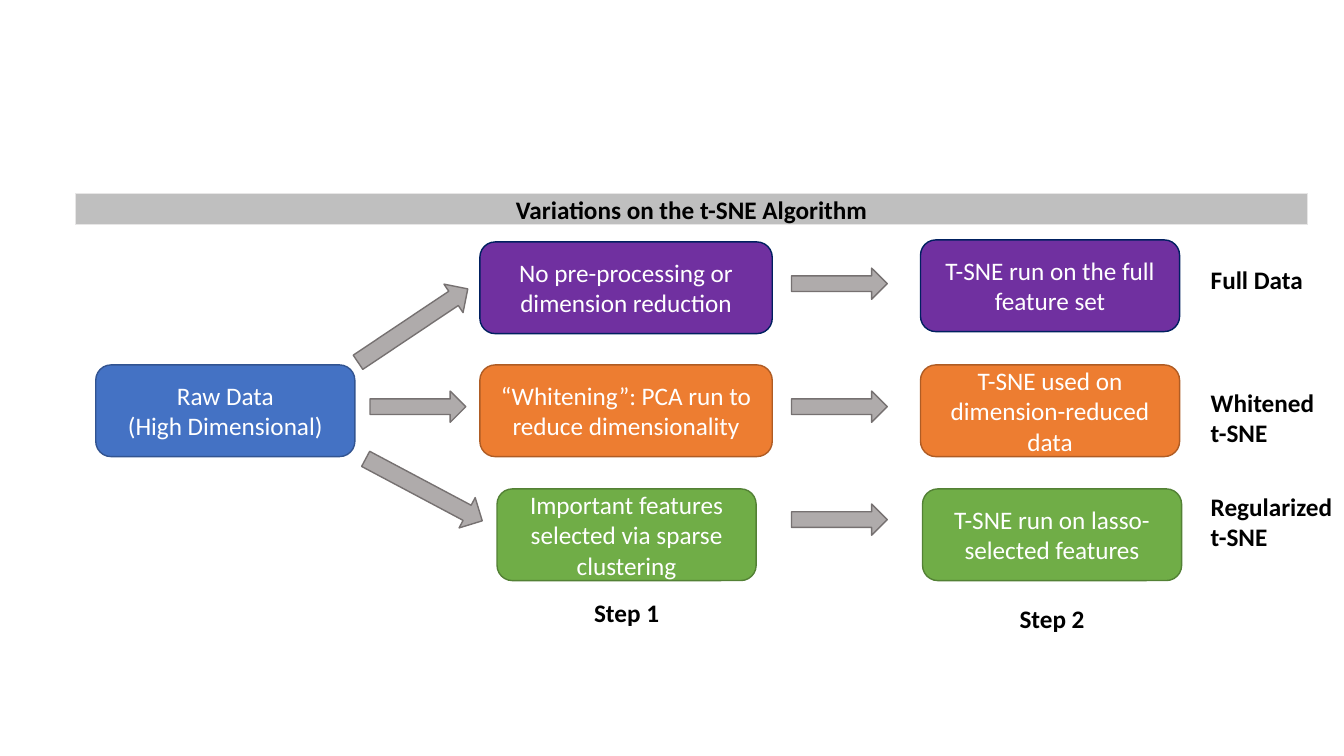
from pptx import Presentation
from pptx import util as u
from pptx.dml.color import RGBColor
from pptx.enum import shapes, text

PX = u.Inches(1) // 100  # one px is a hundredth of an inch

WHITE = RGBColor(0xFF, 0xFF, 0xFF)
BLACK = RGBColor(0x00, 0x00, 0x00)
BLUE, BLUE_EDGE = RGBColor(0x44, 0x72, 0xC4), RGBColor(0x32, 0x54, 0x91)
PURPLE, NAVY_EDGE = RGBColor(0x70, 0x30, 0xA0), RGBColor(0x00, 0x20, 0x60)
ORANGE, ORANGE_EDGE = RGBColor(0xED, 0x7D, 0x31), RGBColor(0xAF, 0x5C, 0x24)
GREEN, GREEN_EDGE = RGBColor(0x70, 0xAD, 0x47), RGBColor(0x53, 0x81, 0x35)
ARROW, ARROW_EDGE = RGBColor(0xAF, 0xAB, 0xAB), RGBColor(0x76, 0x71, 0x71)
BANNER, BANNER_EDGE = RGBColor(0xBF, 0xBF, 0xBF), RGBColor(0xE7, 0xE6, 0xE6)

FONT, SIZE = "Calibri", u.Pt(18)
BOX_HEIGHT, NARROW, WIDE = 91, 257, 290

TITLE = ("Variations on the t-SNE Algorithm", (75, 192, 1222, 31))

# text, (left, top, width), fill, edge
STAGES = [
    (["Raw Data", "(High Dimensional)"], (95, 362, NARROW), BLUE, BLUE_EDGE),
    (["No pre-processing or dimension reduction"], (476, 240, WIDE), PURPLE, NAVY_EDGE),
    (["T-SNE run on the full feature set"], (913, 238, NARROW), PURPLE, NAVY_EDGE),
    (["“Whitening”: PCA run to reduce dimensionality"], (476, 362, WIDE), ORANGE, ORANGE_EDGE),
    (["T-SNE used on dimension-reduced data"], (913, 362, NARROW), ORANGE, ORANGE_EDGE),
    (["Important features selected via sparse clustering"], (493, 485, NARROW), GREEN, GREEN_EDGE),
    (["T-SNE run on lasso-selected features"], (915, 485, NARROW), GREEN, GREEN_EDGE),
]

# (left, top), rotation in degrees
STRAIGHT_SIZE, SLANTED_SIZE = (95, 31), (131, 34)
ARROWS = [
    ((367, 388), 0),
    ((785, 266), 0),
    ((785, 388), 0),
    ((785, 500), 0),
    ((344, 306), 326.2),
    ((355, 469), 28),
]

LEFT, CENTER = text.PP_ALIGN.LEFT, text.PP_ALIGN.CENTER
LABELS = [
    ("Full Data", (1191, 257, 125, 40), LEFT),
    ("Whitened t-SNE", (1191, 379, 142, 71), LEFT),
    ("Regularized t-SNE", (1191, 482, 145, 71), LEFT),
    ("Step 1", (493, 588, NARROW, 40), CENTER),
    ("Step 2", (915, 594, NARROW, 40), CENTER),
]


def scaled(frame):
    return [length * PX for length in frame]


def write(box, lines, color, align, bold=False):
    box.text_frame.word_wrap = True
    for index, line in enumerate(lines):
        para = box.text_frame.add_paragraph() if index else box.text_frame.paragraphs[0]
        para.alignment = align
        span = para.add_run()
        span.text = line
        span.font.name, span.font.size = FONT, SIZE
        span.font.bold = bold
        span.font.color.rgb = color


def add_box(page, kind, frame, fill, edge):
    box = page.shapes.add_shape(kind, *scaled(frame))
    box.shadow.inherit = False
    box.fill.solid()
    box.fill.fore_color.rgb = fill
    box.line.color.rgb = edge
    box.line.width = u.Pt(1)
    box.text_frame.vertical_anchor = text.MSO_ANCHOR.MIDDLE
    return box


def main():
    deck = Presentation()
    deck.slide_width, deck.slide_height = scaled((1333, 750))
    page = deck.slides.add_slide(deck.slide_layouts[6])
    kinds = shapes.MSO_SHAPE

    for lines, (left, top, width), fill, edge in STAGES:
        frame = (left, top, width, BOX_HEIGHT)
        box = add_box(page, kinds.ROUNDED_RECTANGLE, frame, fill, edge)
        write(box, lines, WHITE, CENTER)

    for corner, angle in ARROWS:
        frame = corner + (SLANTED_SIZE if angle else STRAIGHT_SIZE)
        arrow = add_box(page, kinds.RIGHT_ARROW, frame, ARROW, ARROW_EDGE)
        arrow.rotation = angle

    title, frame = TITLE
    banner = add_box(page, kinds.RECTANGLE, frame, BANNER, BANNER_EDGE)
    write(banner, [title], BLACK, CENTER, bold=True)

    for label, frame, align in LABELS:
        box = page.shapes.add_textbox(*scaled(frame))
        write(box, [label], BLACK, align, bold=True)

    deck.save("out.pptx")


if __name__ == "__main__":
    main()
